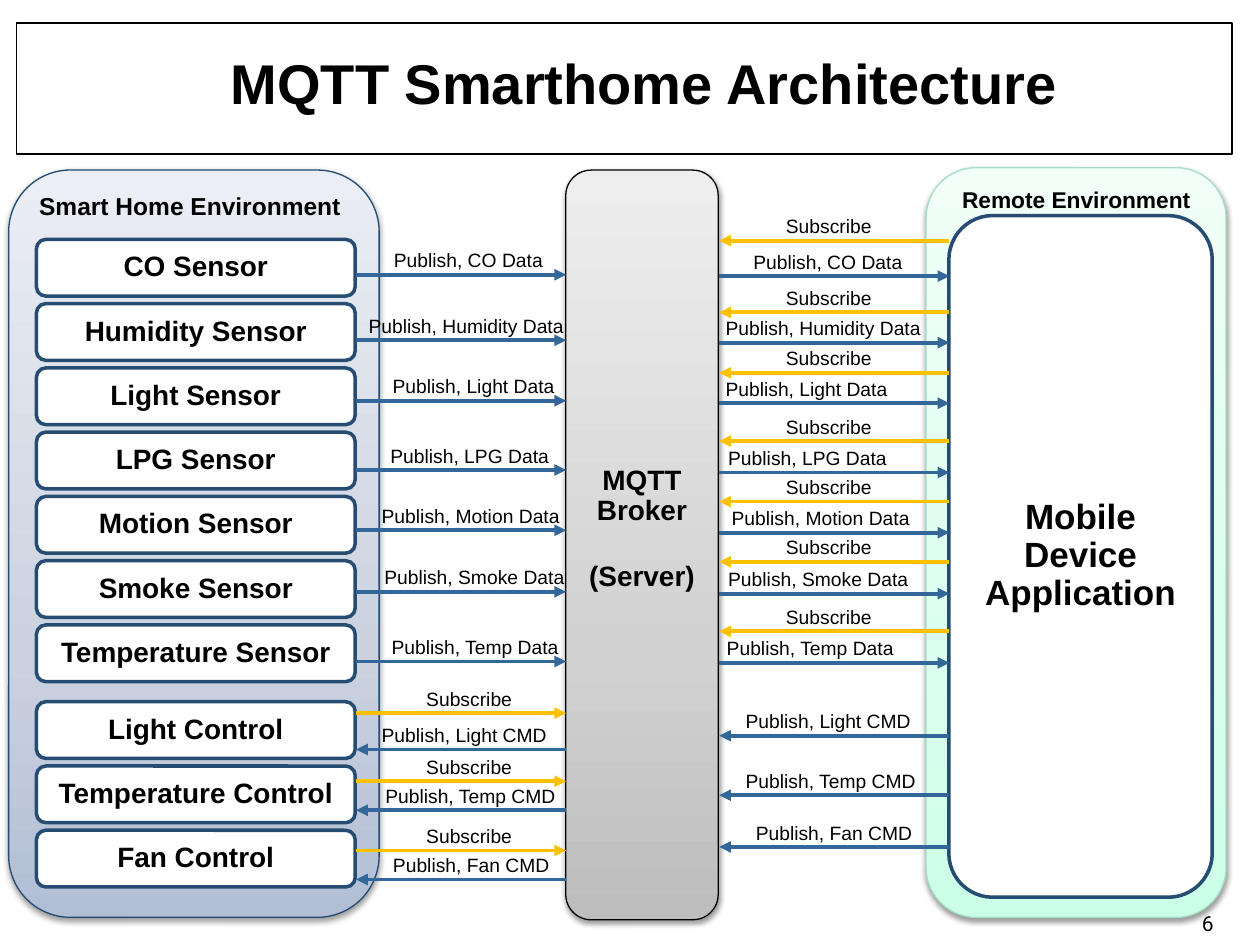
from collections import namedtuple
from dataclasses import dataclass

from lxml.etree import SubElement
from pptx import Presentation
from pptx.dml.color import RGBColor
from pptx.enum.shapes import MSO_CONNECTOR as Connector, MSO_SHAPE as Shape
from pptx.enum.text import MSO_ANCHOR as Anchor, PP_ALIGN as Align
from pptx.oxml.ns import qn
from pptx.util import Pt

Box = namedtuple("Box", "left top width height")


@dataclass(frozen=True)
class Theme:
    font: str = "Arial"
    number_font: str = "Roboto"
    black: str = "000000"
    white: str = "FFFFFF"
    card_line: str = "264C72"
    publish: str = "336699"
    subscribe: str = "FFC000"
    home_line: str = "234A71"
    home_fill: tuple = ("B2BED4", "CAD2E0", "EBEEF4")
    remote_line: str = "A5DEC6"
    remote_fill: tuple = ("CCFFE8", "DAFFEE", "F1FFF8")
    broker_fill: tuple = ("BDBDBD", "D1D1D1", "EEEEEE")
    title: int = 32
    app: int = 20
    card: int = 16
    home: int = 14
    remote: int = 13
    number: int = 12
    label: int = 11


THEME = Theme()


def color(value):
    return RGBColor.from_string(value)


def inside(box, left, top, width, height):
    return Box(box.left + left, box.top + top, width, height)


def write(shape, lines, size, bold=True, align=Align.CENTER, anchor=Anchor.MIDDLE,
          font=THEME.font, spacing=0.9):
    frame = shape.text_frame
    frame.word_wrap = True
    frame.vertical_anchor = anchor
    for index, line in enumerate(lines):
        paragraph = frame.paragraphs[0] if index == 0 else frame.add_paragraph()
        paragraph.text = line
        paragraph.alignment = align
        paragraph.line_spacing = spacing
        paragraph.font.name = font
        paragraph.font.size = Pt(size)
        paragraph.font.bold = bold
        paragraph.font.color.rgb = color(THEME.black)
    return frame


def add_text(slide, box, text, size, **style):
    shape = slide.shapes.add_textbox(*map(Pt, box))
    write(shape, [text], size, **style)


def add_block(slide, kind, box, line, weight):
    shape = slide.shapes.add_shape(kind, *map(Pt, box))
    shape.shadow.inherit = False
    shape.fill.solid()
    shape.fill.fore_color.rgb = color(THEME.white)
    shape.line.color.rgb = color(line)
    shape.line.width = Pt(weight)
    return shape


def add_card(slide, box, text, size):
    shape = add_block(slide, Shape.ROUNDED_RECTANGLE, box, THEME.card_line, 2)
    write(shape, [text], size)


def add_panel(slide, box, line, colors):
    """Rounded panel with a three-stop gradient and a soft shadow."""
    shape = add_block(slide, Shape.ROUNDED_RECTANGLE, box, line, 0.75)
    shape.fill.gradient()
    shape.fill.gradient_angle = 90
    properties = shape._element.spPr
    stops = properties.find(".//" + qn("a:gsLst"))
    for stop in list(stops):
        stops.remove(stop)
    for position, value in zip((0, 35, 100), colors):
        stop = SubElement(stops, qn("a:gs"), pos=str(position * 1000))
        SubElement(stop, qn("a:srgbClr"), val=value)
    shadow = SubElement(properties.find(qn("a:effectLst")), qn("a:outerShdw"),
                        blurRad=str(Pt(3.1)), dist=str(Pt(1.6)), dir="5400000", rotWithShape="0")
    tint = SubElement(shadow, qn("a:srgbClr"), val=THEME.black)
    SubElement(tint, qn("a:alpha"), val="38000")
    return shape


def add_message(slide, channel, text, y, label_left, label_width, rightward):
    """Arrow across the channel, with its label just above."""
    ends = [channel.left, channel.left + channel.width]
    start, end = ends if rightward else reversed(ends)
    height = Pt(channel.top + y)
    arrow = slide.shapes.add_connector(Connector.STRAIGHT, Pt(start), height, Pt(end), height)
    arrow.line.color.rgb = color(THEME.subscribe if text == "Subscribe" else THEME.publish)
    arrow.line.width = Pt(2.25)
    SubElement(arrow.line._get_or_add_ln(), qn("a:tailEnd"), type="triangle")
    SubElement(arrow._element.spPr, qn("a:effectLst"))
    add_text(slide, inside(channel, label_left, y - 18.5, label_width, 20.6), text, THEME.label,
             bold=False, align=Align.LEFT, anchor=Anchor.TOP, spacing=1.0)


def add_header(slide, box):
    add_block(slide, Shape.RECTANGLE, box, THEME.black, 1)
    add_text(slide, inside(box, 111.6, 3.6, 494, 65.5), "MQTT Smarthome Architecture", THEME.title)


def add_home(slide, box, sensors, controls):
    panel = add_panel(slide, box, THEME.home_line, THEME.home_fill)
    write(panel, ["Smart Home Environment"], THEME.home, align=Align.LEFT, anchor=Anchor.TOP)
    for first_top, names in ((39.6, sensors), (303.8, controls)):
        for row, name in enumerate(names):
            add_card(slide, inside(box, 15.8, first_top + 36.72 * row, 182.2, 32.4), name, THEME.card)


def add_remote(slide, box):
    panel = add_panel(slide, box, THEME.remote_line, THEME.remote_fill)
    write(panel, ["Remote Environment"], THEME.remote, anchor=Anchor.TOP)
    add_card(slide, inside(box, 13, 27.4, 150.5, 389.5), "Mobile Device Application", THEME.app)


def add_broker(slide, box):
    panel = add_panel(slide, box, THEME.black, THEME.broker_fill)
    frame = write(panel, ["MQTT Broker", "(Server)"], THEME.card)
    frame.margin_bottom = Pt(21.6)
    frame.paragraphs[1].space_before = Pt(20.5)


def add_home_channel(slide, channel, data, commands):
    for name, y, left, width, *_ in data:
        add_message(slide, channel, f"Publish, {name} Data", y, left, width, True)
    for name, y, left, width, subscribe_y, *_ in commands:
        add_message(slide, channel, f"Publish, {name} CMD", y, left, width, False)
        add_message(slide, channel, "Subscribe", subscribe_y, 33, 67, True)


def add_remote_channel(slide, channel, data, commands):
    for name, *_, width, y, left, subscribe_y in data:
        add_message(slide, channel, f"Publish, {name} Data", y, left, width * 1.09, True)
        add_message(slide, channel, "Subscribe", subscribe_y, 31, 67, False)
    for name, _, _, width, _, y, left in commands:
        add_message(slide, channel, f"Publish, {name} CMD", y, left, width, False)


# Sensor data: name, home y, label left, label width, remote y, label left, subscribe y
DATA = [
    ("CO", 60, 14.5, 117, 60.8, 12.4, 40.5),
    ("Humidity", 97.4, 0, 131, 98.8, -3.5, 81.5),
    ("Light", 132, 13.8, 117, 133.4, -3.5, 116),
    ("LPG", 171.6, 12.5, 117, 173, -2, 155),
    ("Motion", 206, 7.5, 131, 207.4, 0, 189.6),
    ("Smoke", 241.2, 9, 122, 242.2, -2, 224),
    ("Temp", 281, 13.2, 117, 281.8, -2.8, 263.8),
]
# Commands: name, home y, label left, label width, subscribe y, remote y, label left
COMMANDS = [
    ("Light", 331.3, 7.5, 131, 310.5, 323.4, 8),
    ("Temp", 366, 9.6, 122, 349.4, 357.4, 8),
    ("Fan", 405.6, 14, 117, 389, 387, 13.8),
]
SENSORS = [f"{kind} Sensor" for kind in
           ("CO", "Humidity", "Light", "LPG", "Motion", "Smoke", "Temperature")]
CONTROLS = [f"{kind} Control" for kind in ("Light", "Temperature", "Fan")]

presentation = Presentation()
presentation.slide_width, presentation.slide_height = Pt(720), Pt(540)
slide = presentation.slides.add_slide(presentation.slide_layouts[6])

# Header and slide number
add_header(slide, Box(9.4, 13, 694.8, 74.9))
add_text(slide, Box(679.7, 517, 28, 20.9), "6", THEME.number, bold=False, align=Align.LEFT,
         anchor=Anchor.TOP, font=THEME.number_font, spacing=1.0)

# Environments and broker
add_home(slide, Box(5, 97.2, 211.7, 427), SENSORS, CONTROLS)
add_remote(slide, Box(529.2, 95.8, 171.4, 428.4))
add_broker(slide, Box(323.3, 97.2, 87.1, 428.4))

# Messages
add_home_channel(slide, Box(203.5, 97, 120, 430), DATA, COMMANDS)
add_remote_channel(slide, Box(411, 97, 131.5, 430), DATA, COMMANDS)

presentation.save("out.pptx")
